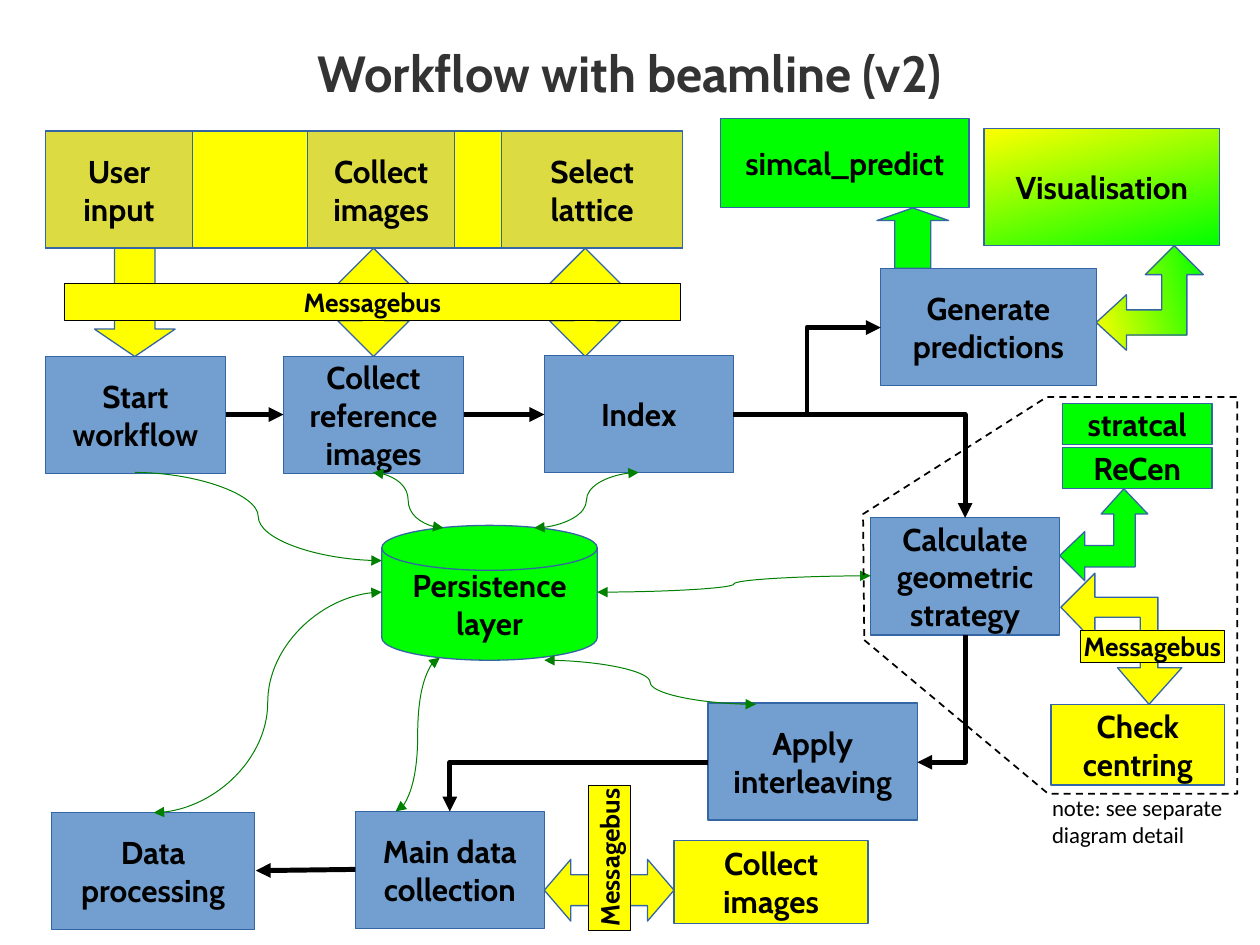
from lxml.etree import SubElement
from pptx import Presentation
from pptx.dml.color import RGBColor
from pptx.enum.dml import MSO_LINE
from pptx.enum.shapes import MSO_CONNECTOR as Link, MSO_SHAPE as Shape
from pptx.enum.text import MSO_ANCHOR as Anchor, PP_ALIGN as Align
from pptx.oxml.ns import qn
from pptx.util import Inches, Pt

COLORS = {
    "step": "729FCF", "bus": "FFFF00", "input": "DCDC42", "program": "00FF00",
    "edge": "3465A4", "black": "000000", "title": "333333", "store": "008000",
}

TITLE = "Workflow with beamline (v2)"
NOTE = "note: see separate diagram detail"

# Straight block arrows: preset, place, head length ratio, colour
BLOCK_ARROWS = [
    (Shape.UP_DOWN_ARROW, (4.36, 1.97, 0.57, 0.86), 0.3, "bus"),
    (Shape.UP_DOWN_ARROW, (2.68, 1.97, 0.57, 0.86), 0.3, "bus"),
    (Shape.DOWN_ARROW, (0.75, 1.97, 0.64, 0.86), 0.34, "bus"),
    (Shape.UP_ARROW, (6.96, 1.65, 0.57, 0.48), 0.21, "program"),
    (Shape.LEFT_RIGHT_ARROW, (4.32, 6.82, 1.03, 0.49), 0.43, "bus"),
]

# Bent block arrows: outline, colour
BENT_ARROWS = [
    ([(8.92, 3.88), (8.74, 4.08), (8.84, 4.08), (8.84, 4.33), (8.61, 4.33),
      (8.61, 4.22), (8.41, 4.41), (8.61, 4.61), (8.61, 4.5), (9.01, 4.5),
      (9.01, 4.08), (9.11, 4.08)], "program"),
    ([(8.42, 4.82), (8.69, 5.1), (8.69, 4.9), (9.05, 4.9), (9.05, 5.3),
      (8.87, 5.3), (9.12, 5.59), (9.38, 5.3), (9.19, 5.3), (9.19, 4.74),
      (8.69, 4.74), (8.69, 4.55)], "bus"),
    ([(9.32, 1.95), (9.09, 2.18), (9.22, 2.18), (9.22, 2.46), (8.94, 2.46),
      (8.94, 2.34), (8.7, 2.56), (8.94, 2.78), (8.94, 2.66), (9.42, 2.66),
      (9.42, 2.18), (9.55, 2.18)], "blend"),
]
DETAIL_OUTLINE = [(6.86, 5.08), (8.32, 6.3), (9.82, 6.3), (9.82, 3.15),
                  (8.31, 3.15), (6.85, 4.08)]

# Boxes: text, place, colour
BOXES = [
    ("Start workflow", (0.36, 2.83, 1.43, 0.93), "step"),
    ("Collect reference images", (2.25, 2.83, 1.43, 0.93), "step"),
    ("Index", (4.32, 2.82, 1.5, 0.93), "step"),
    ("Generate predictions", (6.99, 2.13, 1.71, 0.93), "step"),
    ("Calculate geometric strategy", (6.91, 4.11, 1.5, 0.93), "step"),
    ("Apply interleaving", (5.62, 5.58, 1.66, 0.93), "step"),
    ("Main data collection", (2.82, 6.44, 1.5, 0.93), "step"),
    ("Data processing", (0.41, 6.45, 1.61, 0.93), "step"),
    ("", (0.36, 1.04, 5.06, 0.93), "bus"),
    ("User input", (0.36, 1.04, 1.17, 0.93), "input"),
    ("Collect images", (2.44, 1.04, 1.17, 0.93), "input"),
    ("Select lattice", (3.98, 1.04, 1.44, 0.93), "input"),
    ("Collect images", (5.35, 6.67, 1.54, 0.66), "bus"),
    ("Check centring", (8.34, 5.59, 1.38, 0.64), "bus"),
    ("simcal_predict", (5.72, 0.94, 1.97, 0.71), "program"),
    ("stratcal", (8.43, 3.2, 1.19, 0.33), "program"),
    ("ReCen", (8.43, 3.55, 1.19, 0.33), "program"),
    ("Visualisation", (7.81, 1.02, 1.87, 0.93), "blend"),
]
PERSISTENCE = ("Persistence layer", (3.03, 4.17, 1.71, 1.07), "program")

# Message buses: place, rotation
BUSES = [
    ((0.51, 2.25, 4.89, 0.29), 0),
    ((4.26, 6.64, 1.15, 0.33), 270),
    ((8.57, 5, 1.15, 0.26), 0),
]

# Workflow links: kind, from, to, ends with an arrowhead
ONE_BEND = "bentConnector2"
FLOW = [
    (Link.STRAIGHT, (1.79, 3.29), (2.25, 3.29), ["tailEnd"]),
    (Link.STRAIGHT, (3.68, 3.29), (4.32, 3.29), ["tailEnd"]),
    (Link.STRAIGHT, (2.82, 6.9), (2.03, 6.91), ["tailEnd"]),
    (Link.ELBOW, (5.82, 3.29), (6.99, 2.6), ["tailEnd"]),
    (ONE_BEND, (5.82, 3.29), (7.66, 4.11), ["tailEnd"]),
    (ONE_BEND, (7.28, 6.05), (7.66, 5.04), ["headEnd"]),
    (ONE_BEND, (5.62, 6.05), (3.57, 6.44), ["tailEnd"]),
]
BOTH = ["headEnd", "tailEnd"]
STORE_LINKS = [
    (Link.CURVE, (1.07, 3.75), (3.03, 4.45), ["tailEnd"]),
    (Link.CURVE, (2.96, 3.75), (3.52, 4.19), BOTH),
    (Link.CURVE, (1.22, 6.45), (3.03, 4.7), BOTH),
    (Link.CURVE, (3.14, 6.44), (3.49, 5.22), BOTH),
    (Link.CURVE, (6.91, 4.57), (4.74, 4.7), BOTH),
    (Link.CURVE, (5.07, 3.75), (4.24, 4.19), BOTH),
    (Link.CURVE, (6, 5.59), (4.32, 5.24), BOTH),
]

prs = Presentation()
prs.slide_width, prs.slide_height = Inches(10), Inches(7.5)
slide = prs.slides.add_slide(prs.slide_layouts[5])
shapes = slide.shapes


def rgb(name):
    return RGBColor.from_string(COLORS[name])


def inches(values):
    return [Inches(value) for value in values]


def paint(part, fill, edge="edge", width=0.75, angle=285):
    part.shadow.inherit = False
    if fill == "blend":
        part.fill.gradient()
        part.fill.gradient_angle = angle
        for stop, name, position in zip(part.fill.gradient_stops, ("bus", "program"), (0, 1)):
            stop.color.rgb = rgb(name)
            stop.position = position
    elif fill:
        part.fill.solid()
        part.fill.fore_color.rgb = rgb(fill)
    else:
        part.fill.background()
    part.line.color.rgb = rgb(edge)
    part.line.width = Pt(width)


def write(part, text, size=18, color="black", font="Cabin", bold=True, align=Align.CENTER,
          anchor=Anchor.MIDDLE, wrap=True, margins=(0.09, 0.04)):
    side, end = inches(margins)
    frame = part.text_frame
    frame.text = text
    frame_format = {"word_wrap": wrap, "vertical_anchor": anchor, "margin_left": side,
                    "margin_right": side, "margin_top": end, "margin_bottom": end}
    for key, value in frame_format.items():
        setattr(frame, key, value)
    paragraph = frame.paragraphs[0]
    paragraph.alignment = align
    for key, value in {"name": font, "size": Pt(size), "bold": bold}.items():
        setattr(paragraph.font, key, value)
    paragraph.font.color.rgb = rgb(color)


def add_box(text, place, fill, preset=Shape.RECTANGLE):
    box = shapes.add_shape(preset, *inches(place))
    paint(box, fill)
    if text:
        write(box, text, wrap=" " in text)


def add_outline(points):
    start, *rest = [inches(point) for point in points]
    builder = shapes.build_freeform(*start)
    builder.add_line_segments(rest, close=True)
    return builder.convert_to_shape()


def add_link(kind, start, end, heads, color, width):
    preset = Link.ELBOW if kind == ONE_BEND else kind
    link = shapes.add_connector(preset, *inches(start + end))
    properties = link._element.spPr
    if kind == ONE_BEND:
        properties.find(qn("a:prstGeom")).set("prst", kind)
    link.line.color.rgb = rgb(color)
    link.line.width = Pt(width)
    for head in heads:
        SubElement(properties.find(qn("a:ln")), qn("a:" + head), type="triangle")
    SubElement(properties, qn("a:effectLst"))


# Title
title = shapes.title
title.left, title.top, title.width, title.height = inches((0.73, 0.25, 8.54, 0.65))
write(title, TITLE, size=29, color="title", margins=(0, 0))

# Block arrows
for preset, place, head_ratio, fill in BLOCK_ARROWS:
    arrow = shapes.add_shape(preset, *inches(place))
    arrow.adjustments[0], arrow.adjustments[1] = 0.5, head_ratio
    paint(arrow, fill)
for points, fill in BENT_ARROWS:
    paint(add_outline(points), fill, angle=15)

# Boxes, store and message buses
for box in BOXES:
    add_box(*box)
add_box(*PERSISTENCE, preset=Shape.FLOWCHART_MAGNETIC_DISK)
for place, rotation in BUSES:
    bus = shapes.add_shape(Shape.RECTANGLE, *inches(place))
    bus.rotation = rotation
    paint(bus, "bus", "black", 0.28)
    write(bus, "Messagebus", size=15, wrap=False, margins=(0.09, 0.05))

# Links
for link in FLOW:
    add_link(*link, color="black", width=2.83)
for link in STORE_LINKS:
    add_link(*link, color="store", width=0.57)

# Detail outline and its note
detail = add_outline(DETAIL_OUTLINE)
paint(detail, None, "black", 1)
detail.line.dash_style = MSO_LINE.DASH
note = shapes.add_textbox(*inches((8.26, 6.25, 1.66, 0.53)))
write(note, NOTE, size=13, font="Calibri", bold=False, align=Align.LEFT,
      anchor=Anchor.TOP, margins=(0.09, 0.05))

prs.save("out.pptx")
